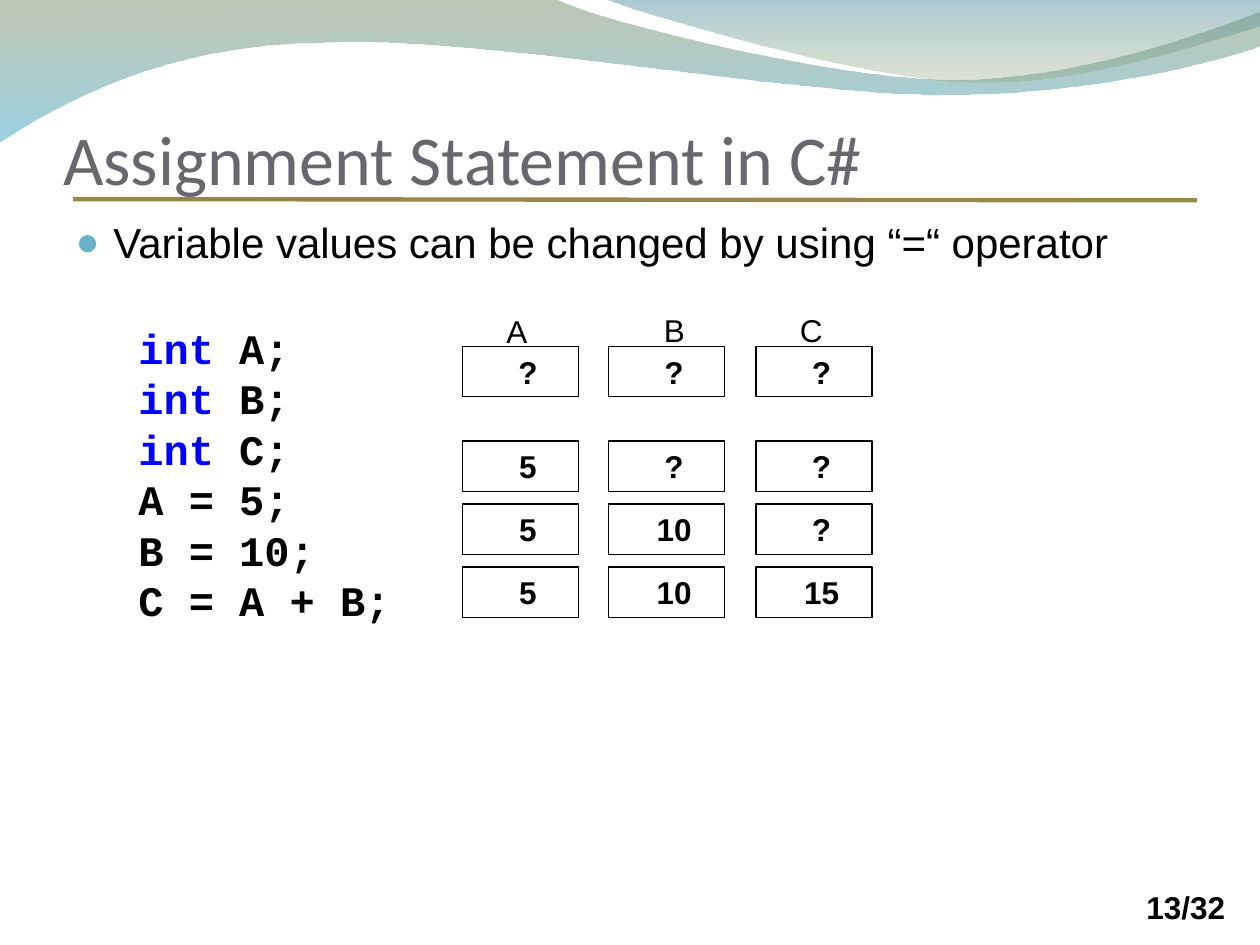
from dataclasses import dataclass

import lxml.etree
import pptx
import pptx.dml.color
import pptx.enum.shapes
import pptx.enum.text
import pptx.oxml.ns
import pptx.util
from pptx.util import Inches

BLACK = "000000"
KEYWORD_BLUE = "0000FF"
UNITS_PER_INCH = 1000
CELL_SIZE = (0.92, 0.4)
COLUMN_LEFTS = (3.67, 4.83, 6)


@dataclass
class Wave:
    start: tuple
    segments: list
    stops: list


@dataclass
class Label:
    text: str
    left: float
    top: float
    width: float
    height: float
    bold: bool = False


@dataclass
class MemoryRow:
    top: float
    values: tuple


WAVES = [
    Wave((0, -0.01), [
        [(4.4, -0.01)],
        [(4.76, 0.17), (6.64, 0.63), (7.58, 0.63)],
        [(8.53, 0.63), (9.58, 0.26), (10, 0.09)],
        [(10.01, 0.36)],
        [(9.83, 0.44), (8.7, 0.76), (7.46, 0.75)],
        [(6.22, 0.75), (3.82, 0.28), (2.57, 0.34)],
        [(1.29, 0.35), (0.46, 0.83), (-0.01, 1.13)],
    ], [("72845C", 45), ("49ACCD", 55)]),
    Wave((4.79, -0.01), [
        [(5.09, 0.11), (6.82, 0.62), (7.69, 0.65)],
        [(8.56, 0.69), (9.61, 0.32), (10, 0.21)],
        [(10, 0)],
    ], [("42869E", 45), ("8AA26C", 30)]),
]

LABELS = [
    Label("13/32", 9, 7, 0.92, 0.4, bold=True),
    Label("A", 3.92, 2.43, 0.5, 0.4),
    Label("B", 5.17, 2.42, 0.5, 0.4),
    Label("C", 6.25, 2.42, 0.5, 0.4),
]

MEMORY_ROWS = [
    MemoryRow(2.75, ("?", "?", "?")),
    MemoryRow(3.5, ("5", "?", "?")),
    MemoryRow(4, ("5", "10", "?")),
    MemoryRow(4.5, ("5", "10", "15")),
]

CODE_LINES = [
    ("int", " A;"),
    ("int", " B;"),
    ("int", " C;"),
    ("", "A = 5;"),
    ("", "B = 10;"),
    ("", "C = A + B;"),
]


def color(value: str) -> pptx.dml.color.RGBColor:
    return pptx.dml.color.RGBColor.from_string(value)


def add_element(parent, tag: str, **attributes: str):
    return lxml.etree.SubElement(parent, pptx.oxml.ns.qn(tag), attributes)


def set_font(font, name: str, size: float, value: str, bold: bool = False) -> None:
    font.name = name
    font.size = pptx.util.Pt(size)
    font.bold = bold
    font.color.rgb = color(value)


def place(shape, left: float, top: float, width: float, height: float) -> None:
    shape.left, shape.top = Inches(left), Inches(top)
    shape.width, shape.height = Inches(width), Inches(height)


def scaled(point: tuple) -> tuple:
    return tuple(round(value * UNITS_PER_INCH) for value in point)


def bend_segments(shape, wave: Wave) -> None:
    anchors = [scaled(point) for point in [wave.start, *(segment[-1] for segment in wave.segments)]]
    left, top = (min(values) for values in zip(*anchors))
    lines = list(shape.element.spPr.iter(pptx.oxml.ns.qn("a:lnTo")))
    for line, segment in zip(lines, wave.segments):
        if len(segment) == 3:
            line.tag = pptx.oxml.ns.qn("a:cubicBezTo")
            line.remove(line[0])
            for x, y in map(scaled, segment):
                add_element(line, "a:pt", x=str(x - left), y=str(y - top))


def add_wave(slide, wave: Wave) -> None:
    builder = slide.shapes.build_freeform(
        *scaled(wave.start), scale=Inches(1) / UNITS_PER_INCH
    )
    builder.add_line_segments([scaled(segment[-1]) for segment in wave.segments], close=True)
    shape = builder.convert_to_shape()
    bend_segments(shape, wave)
    shape.shadow.inherit = False
    shape.line.fill.background()
    shape.fill.gradient()
    shape.fill.gradient_angle = 270
    for stop, (value, opacity) in zip(shape.fill.gradient_stops, wave.stops):
        stop.color.rgb = color(value)
    fills = shape.element.spPr.iter(pptx.oxml.ns.qn("a:srgbClr"))
    for fill, (value, opacity) in zip(fills, wave.stops):
        add_element(fill, "a:alpha", val=str(opacity * 1000))


def add_rule(slide) -> None:
    rule = slide.shapes.add_connector(
        pptx.enum.shapes.MSO_CONNECTOR.STRAIGHT,
        Inches(0.58), Inches(1.58), Inches(9.5), Inches(1.59),
    )
    rule.line.color.rgb = color("988848")
    rule.line.width = pptx.util.Pt(2.5)
    add_element(rule.element.spPr, "a:effectLst")


def add_label(slide, label: Label) -> None:
    box = slide.shapes.add_textbox(0, 0, 0, 0)
    place(box, label.left, label.top, label.width, label.height)
    box.text_frame.word_wrap = True
    para = box.text_frame.paragraphs[0]
    para.text = label.text
    set_font(para.font, "Arial", 18, BLACK, label.bold)


def add_cell(slide, left: float, top: float, value: str) -> None:
    cell = slide.shapes.add_shape(pptx.enum.shapes.MSO_SHAPE.RECTANGLE, 0, 0, 0, 0)
    place(cell, left, top, *CELL_SIZE)
    cell.shadow.inherit = False
    cell.fill.background()
    cell.line.color.rgb = color(BLACK)
    cell.line.width = pptx.util.Pt(0.75)
    frame = cell.text_frame
    frame.margin_left, frame.margin_right = Inches(0.2), Inches(0.08)
    para = frame.paragraphs[0]
    para.text = value
    para.alignment = pptx.enum.text.PP_ALIGN.CENTER
    set_font(para.font, "Arial", 18, BLACK, True)


def add_code(slide) -> None:
    box = slide.shapes.add_textbox(Inches(1), Inches(2.51), Inches(2.5), Inches(2.5))
    frame = box.text_frame
    frame.word_wrap = True
    frame.vertical_anchor = pptx.enum.text.MSO_ANCHOR.MIDDLE
    for index, (keyword, rest) in enumerate(CODE_LINES):
        para = frame.add_paragraph() if index else frame.paragraphs[0]
        para.line_spacing = pptx.util.Pt(28.8)
        set_font(para.font, "Courier New", 24, BLACK, True)
        if keyword:
            span = para.add_run()
            span.text = keyword
            span.font.color.rgb = color(KEYWORD_BLUE)
        para.add_run().text = rest


def fill_title(title) -> None:
    place(title, 0.5, 0.33, 9, 1.25)
    frame = title.text_frame
    frame.margin_left = frame.margin_right = frame.margin_bottom = 0
    frame.vertical_anchor = pptx.enum.text.MSO_ANCHOR.BOTTOM
    para = frame.paragraphs[0]
    para.text = "Assignment Statement in C#"
    para.alignment = pptx.enum.text.PP_ALIGN.LEFT
    set_font(para.font, "Calibri", 40, "69676D")


def fill_body(body) -> None:
    place(body, 0.5, 1.67, 9, 5.33)
    para = body.text_frame.paragraphs[0]
    para.text = "Variable values can be changed by using “=“ operator"
    para.space_before = pptx.util.Pt(0)
    properties = para._p.get_or_add_pPr()
    properties.set("marL", str(Inches(0.3)))
    properties.set("indent", str(Inches(-0.3)))
    add_element(add_element(properties, "a:buClr"), "a:srgbClr", val="6BB1C9")
    add_element(properties, "a:buSzPct", val="95000")
    add_element(properties, "a:buChar", char="●")
    set_font(para.font, "Arial", 24, BLACK)


def main() -> None:
    deck = pptx.Presentation()
    deck.slide_width, deck.slide_height = Inches(10), Inches(7.5)
    slide = deck.slides.add_slide(deck.slide_layouts[1])
    for wave in WAVES:
        add_wave(slide, wave)
    add_rule(slide)
    fill_title(slide.shapes.title)
    fill_body(slide.placeholders[1])
    add_code(slide)
    for label in LABELS:
        add_label(slide, label)
    for row in MEMORY_ROWS:
        for left, value in zip(COLUMN_LEFTS, row.values):
            add_cell(slide, left, row.top, value)
    deck.save("out.pptx")


if __name__ == "__main__":
    main()
